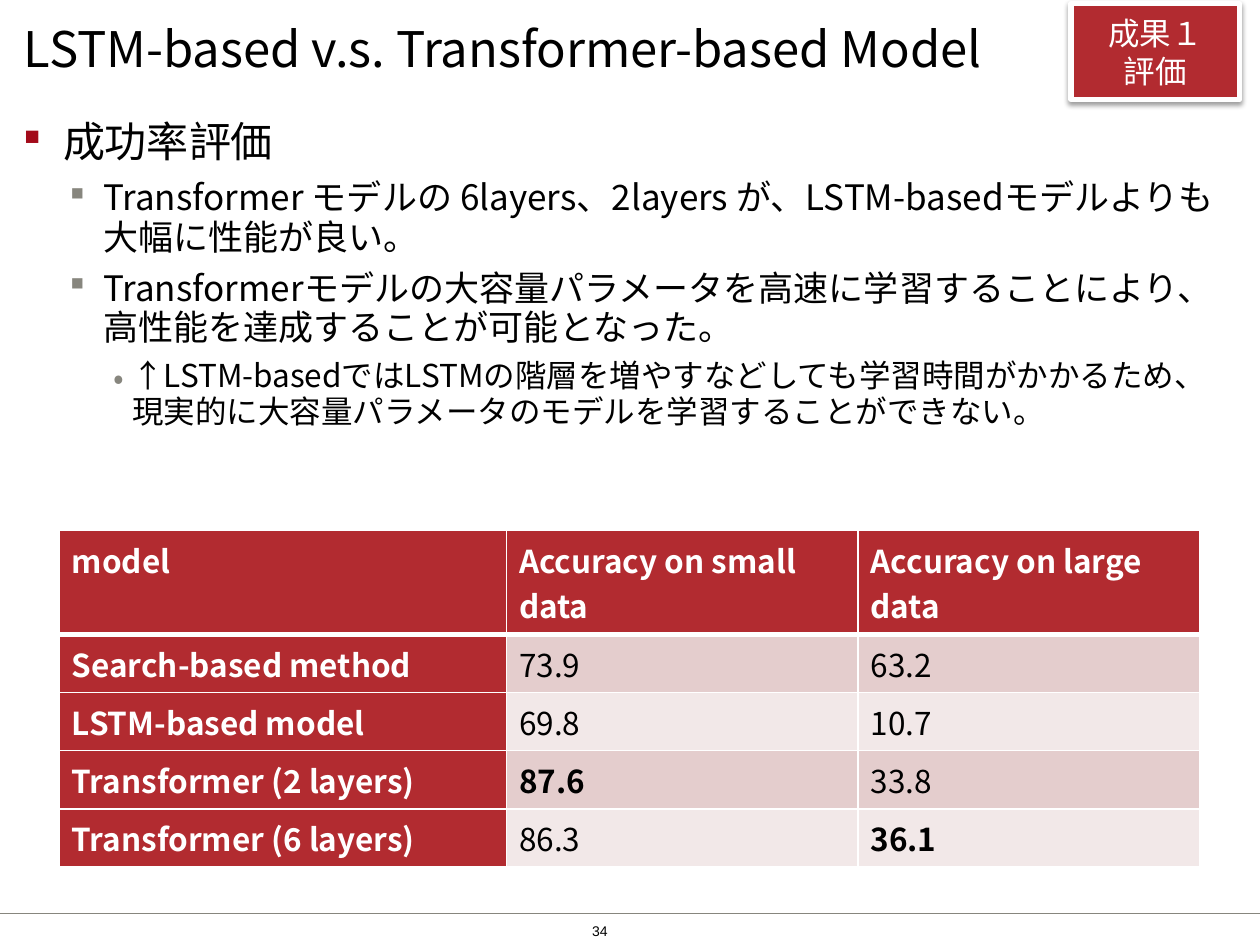
import pptx
import pptx.dml.color
import pptx.enum.shapes
import pptx.enum.text
import pptx.oxml
import pptx.oxml.ns
import pptx.util
from lxml import etree
from pptx.util import Inches

RGBColor = pptx.dml.color.RGBColor
ALIGN = pptx.enum.text.PP_ALIGN
ANCHOR = pptx.enum.text.MSO_ANCHOR
qn = pptx.oxml.ns.qn

BLACK = RGBColor(0x00, 0x00, 0x00)
WHITE = RGBColor(0xFF, 0xFF, 0xFF)
RED = RGBColor(0xB2, 0x2B, 0x30)
BULLET_RED = RGBColor(0xA3, 0x0B, 0x1A)
GRAY = RGBColor(0x87, 0x86, 0x7E)
BAND_DARK = RGBColor(0xE4, 0xCD, 0xCD)
BAND_LIGHT = RGBColor(0xF2, 0xE8, 0xE8)
FONT = "Noto Sans CJK JP"

# level: size, text indent, hanging indent, bullet, bullet font, bullet colour
# "§" is the small filled square in Wingdings
LEVELS = [
    (24, 0.32, 0.32, "§", "Wingdings", BULLET_RED),
    (20, 0.64, 0.27, "§", "Wingdings", GRAY),
    (18, 0.87, 0.15, "•", FONT, GRAY),
]
POINTS = [
    (0, "成功率評価"),
    (1, "Transformer モデルの 6layers、2layers が、LSTM-basedモデルよりも大幅に性能が良い。"),
    (1, "Transformerモデルの大容量パラメータを高速に学習することにより、"
        "高性能を達成することが可能となった。"),
    (2, "↑LSTM-basedではLSTMの階層を増やすなどしても学習時間がかかるため、"
        "現実的に大容量パラメータのモデルを学習することができない。"),
]
HEADER = ["model", "Accuracy on small data", "Accuracy on large data"]
RESULTS = [
    ("Search-based method", 73.9, 63.2),
    ("LSTM-based model", 69.8, 10.7),
    ("Transformer (2 layers)", 87.6, 33.8),
    ("Transformer (6 layers)", 86.3, 36.1),
]
EMPHASIZED = {87.6, 36.1}


def write(paragraph, text, size=18, color=BLACK, bold=False, font=FONT, align=ALIGN.LEFT):
    paragraph.alignment = align
    run = paragraph.add_run()
    run.text = text
    run.font.size = pptx.util.Pt(size)
    run.font.bold = bold
    run.font.color.rgb = color
    run.font.name = font
    etree.SubElement(run.font._element, qn("a:ea"), typeface=font)


def prepare_frame(frame, anchor=ANCHOR.TOP, wrap=True):
    frame.margin_left = frame.margin_right = frame.margin_top = frame.margin_bottom = 0
    frame.vertical_anchor = anchor
    frame.word_wrap = wrap
    frame.auto_size = pptx.enum.text.MSO_AUTO_SIZE.NONE


def add_bullet(paragraph, indent, hanging, mark, font, color):
    properties = paragraph._p.get_or_add_pPr()
    properties.set("marL", str(Inches(indent)))
    properties.set("indent", str(-Inches(hanging)))
    bullet_color = etree.SubElement(properties, qn("a:buClr"))
    etree.SubElement(bullet_color, qn("a:srgbClr"), val=str(color))
    etree.SubElement(properties, qn("a:buFont"), typeface=font)
    etree.SubElement(properties, qn("a:buChar"), char=mark)


def place_title(slide, left, top, width, height):
    title = slide.shapes.title
    title.left, title.top = Inches(left), Inches(top)
    title.width, title.height = Inches(width), Inches(height)
    prepare_frame(title.text_frame, ANCHOR.MIDDLE)
    write(title.text_frame.paragraphs[0], "LSTM-based v.s. Transformer-based Model", size=28)


def add_badge(slide, left, top, width, height):
    badge = slide.shapes.add_shape(
        pptx.enum.shapes.MSO_SHAPE.RECTANGLE,
        Inches(left), Inches(top), Inches(width), Inches(height))
    badge.fill.solid()
    badge.fill.fore_color.rgb = RED
    badge.line.color.rgb = WHITE
    badge.line.width = pptx.util.Pt(3)
    badge.shadow.inherit = False
    shadow = etree.SubElement(
        badge._element.spPr.find(qn("a:effectLst")), qn("a:outerShdw"),
        blurRad=str(pptx.util.Pt(3.1)), dist=str(pptx.util.Pt(1.6)),
        dir="5400000", rotWithShape="0")
    shade = etree.SubElement(shadow, qn("a:srgbClr"), val=str(BLACK))
    etree.SubElement(shade, qn("a:alpha"), val="38000")
    frame = badge.text_frame
    prepare_frame(frame, ANCHOR.MIDDLE, wrap=False)
    write(frame.paragraphs[0], "成果１", color=WHITE, align=ALIGN.CENTER)
    write(frame.add_paragraph(), "評価", color=WHITE, align=ALIGN.CENTER)


def add_findings(slide, left, top, width, height):
    box = slide.shapes.add_textbox(Inches(left), Inches(top), Inches(width), Inches(height))
    frame = box.text_frame
    prepare_frame(frame)
    for index, (level, text) in enumerate(POINTS):
        size, *bullet = LEVELS[level]
        paragraph = frame.add_paragraph() if index else frame.paragraphs[0]
        paragraph.level = level
        paragraph.line_spacing = 0.95
        paragraph.space_before = pptx.util.Pt(0.2 * size if index else 0)
        paragraph.space_after = pptx.util.Pt(0.1 * size)
        add_bullet(paragraph, *bullet)
        write(paragraph, text, size=size)


def set_borders(cell, top=1, bottom=1):
    properties = cell._tc.get_or_add_tcPr()
    widths = {"a:lnL": 1, "a:lnR": 1, "a:lnT": top, "a:lnB": bottom}
    for index, (tag, width) in enumerate(widths.items()):
        line = etree.Element(qn(tag), w=str(pptx.util.Pt(width)))
        fill = etree.SubElement(line, qn("a:solidFill"))
        etree.SubElement(fill, qn("a:srgbClr"), val=str(WHITE))
        properties.insert(index, line)


def fill_cell(cell, text, fill, **text_format):
    cell.fill.solid()
    cell.fill.fore_color.rgb = fill
    write(cell.text_frame.paragraphs[0], text, **text_format)


def add_results(slide, left, top, column_widths, header_height, row_height):
    height = header_height + row_height * len(RESULTS)
    table = slide.shapes.add_table(
        len(RESULTS) + 1, len(HEADER), Inches(left), Inches(top),
        Inches(sum(column_widths)), Inches(height)).table
    for column, width in zip(table.columns, column_widths):
        column.width = Inches(width)
    for index, row in enumerate(table.rows):
        row.height = Inches(row_height if index else header_height)

    for column, heading in enumerate(HEADER):
        cell = table.cell(0, column)
        fill_cell(cell, heading, RED, color=WHITE, bold=True)
        set_borders(cell, bottom=3)
    for row, (model, *scores) in enumerate(RESULTS, start=1):
        fill_cell(table.cell(row, 0), model, RED, color=WHITE, bold=True)
        band = BAND_DARK if row % 2 else BAND_LIGHT
        for column, score in enumerate(scores, start=1):
            fill_cell(table.cell(row, column), str(score), band, bold=score in EMPHASIZED)
        for column in range(len(HEADER)):
            set_borders(table.cell(row, column), top=3 if row == 1 else 1)


def add_footer(slide, top, width):
    rule = slide.shapes.add_connector(
        pptx.enum.shapes.MSO_CONNECTOR.STRAIGHT, 0, Inches(top), Inches(width), Inches(top))
    rule.line.color.rgb = GRAY
    rule.line.width = pptx.util.Pt(1)
    etree.SubElement(rule._element.spPr, qn("a:effectLst"))
    number = slide.shapes.add_textbox(
        Inches(4.7), Inches(top + 0.03), Inches(0.59), Inches(0.22))
    prepare_frame(number.text_frame, ANCHOR.MIDDLE)
    write(number.text_frame.paragraphs[0], "34", size=8, font="Arial")


def main():
    deck = pptx.Presentation()
    deck.slide_width, deck.slide_height = Inches(10), Inches(7.5)
    slide = deck.slides.add_slide(deck.slide_layouts.get_by_name("Title Only"))
    add_footer(slide, 7.25, 10)
    place_title(slide, 0.19, 0, 8.59, 0.76)
    add_findings(slide, 0.18, 0.95, 9.61, 2.8)
    add_badge(slide, 8.5, 0.03, 1.34, 0.76)
    add_results(slide, 0.47, 4.21, (3.55, 2.79, 2.71), 0.82, 0.46)
    deck.save("out.pptx")


if __name__ == "__main__":
    main()
